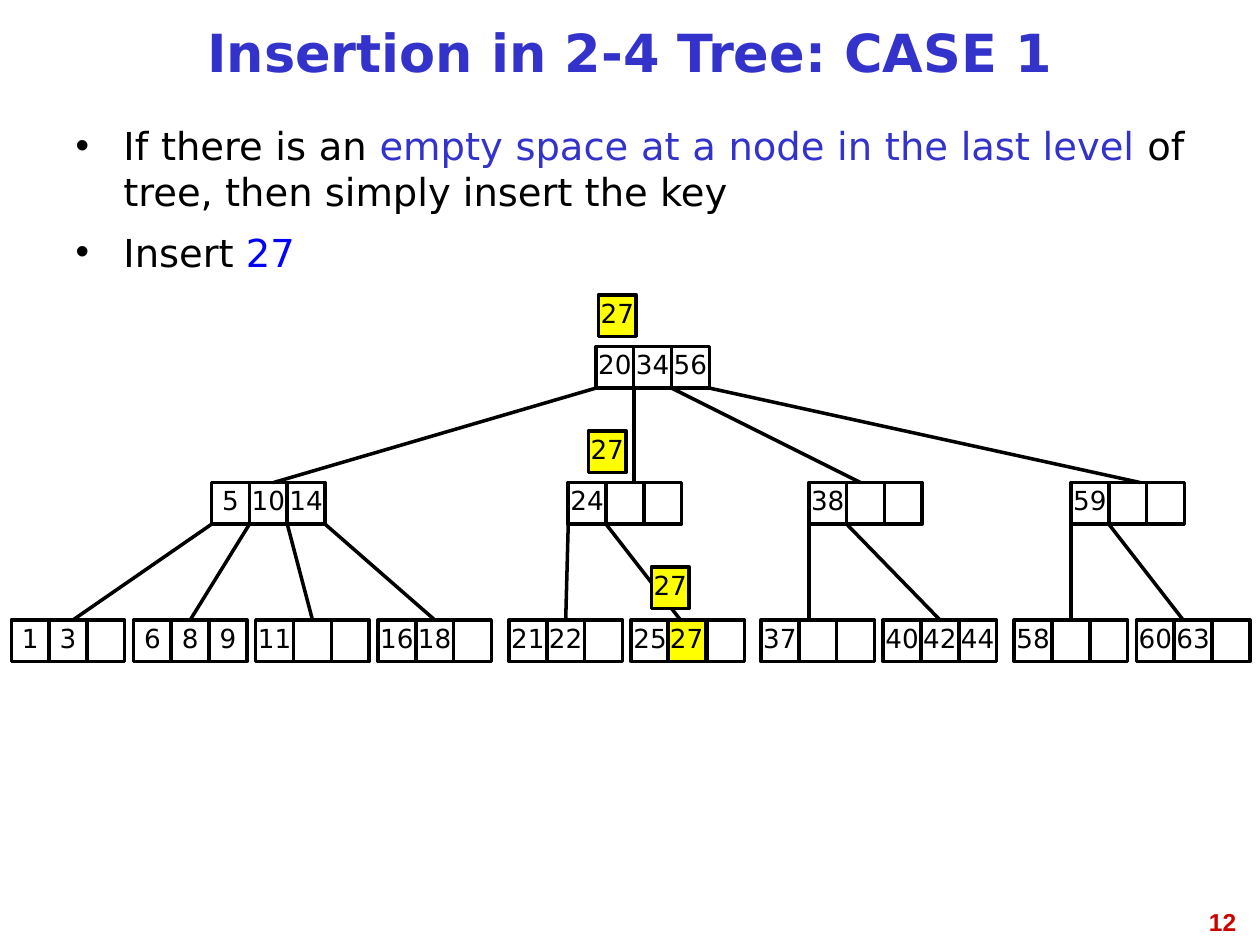
from dataclasses import dataclass

from lxml.etree import SubElement
from pptx import Presentation
from pptx.dml.color import RGBColor as Color
from pptx.enum.shapes import MSO_CONNECTOR as Connector, MSO_SHAPE as Shape
from pptx.enum.text import MSO_ANCHOR as Anchor, MSO_AUTO_SIZE as AutoSize, PP_ALIGN as Align
from pptx.oxml.ns import qn
from pptx.util import Inches, Pt


@dataclass(frozen=True)
class Theme:
    """Colours, type and line sizes of the slide."""
    ink: str = "000000"
    accent: str = "3333CC"
    key: str = "0000FF"
    marked: str = "FFFF00"
    number: str = "CC0000"
    font: str = "DejaVu Sans"
    number_font: str = "Arial"
    title_size: int = 30
    body_size: int = 22
    cell_size: int = 15
    number_size: int = 14
    line: float = 2
    tight: float = 0.81


THEME = Theme()
WIDTH, HEIGHT = 10, 7.5
CELL_W, CELL_H = 0.3, 0.33
SLOTS = 3
LEAF_STEP = 0.97
ROWS = (2.75, 3.83, 4.92)
JOIN_REACH = 0.035

ROOT_LEFT, ROOT_KEYS = 4.73, ("20", "34", "56")
# Each branch: left, keys, edge end, left of its first leaf, leaves with their edge ends
BRANCHES = (
    (1.68, ("5", "10", "14"), 2.17, 0.09,
     ((("1", "3"), 0.58), (("6", "8", "9"), 1.5), (("11",), 2.45), (("16", "18"), 3.42))),
    (4.51, ("24",), 5.03, 4.04, ((("21", "22"), 4.51), (("25",), 5.4))),
    (6.42, ("38",), 6.83, 6.04, ((("37",), 6.42), (("40", "42", "44"), 7.45))),
    (8.5, ("59",), 9.05, 8.05, ((("58",), 8.5), (("60", "63"), 9.39))),
)
INSERTED_KEY = "27"
INSERTED_STEPS = ((4.75, 2.34), (4.67, 3.42), (5.17, 4.5), (5.3, ROWS[2]))


def style(span, size, color=THEME.ink, font=THEME.font, bold=False):
    """Set the type of one run."""
    span.font.size = Pt(size)
    span.font.name = font
    span.font.bold = bold
    span.font.color.rgb = Color.from_string(color)


def place(box, left, top, width, height):
    """Move and size a box given in inches."""
    box.left, box.top, box.width, box.height = map(Inches, (left, top, width, height))


def add_title(page, text):
    """Fill and format the title placeholder."""
    box = page.shapes.title
    place(box, WIDTH * 0.05, 0.08, WIDTH * 0.9, HEIGHT * 0.1)
    frame = box.text_frame
    frame.text = text
    frame.auto_size = AutoSize.NONE
    frame.vertical_anchor = Anchor.MIDDLE
    para = frame.paragraphs[0]
    para.alignment = Align.CENTER
    para.line_spacing = THEME.tight
    style(para.runs[0], THEME.title_size, THEME.accent, bold=True)


def add_bullet(para):
    """Give a paragraph a black round bullet with a hanging indent."""
    props = para._p.get_or_add_pPr()
    props.set("marL", str(Inches(0.38)))
    props.set("indent", str(-Inches(0.38)))
    tint = SubElement(props, qn("a:buClr"))
    SubElement(tint, qn("a:srgbClr")).set("val", THEME.ink)
    SubElement(props, qn("a:buChar")).set("char", "•")


def add_bullets(page, items):
    """Fill the body placeholder with bullets made of coloured pieces."""
    box = page.placeholders[1]
    place(box, WIDTH * 0.05, 0.92, WIDTH * 0.9, 1.42)
    frame = box.text_frame
    frame.auto_size = AutoSize.NONE
    for index, pieces in enumerate(items):
        para = frame.add_paragraph() if index else frame.paragraphs[0]
        add_bullet(para)
        para.alignment = Align.JUSTIFY
        para.space_before = Pt(8 if index else 0)
        for text, color in pieces:
            span = para.add_run()
            span.text = text
            style(span, THEME.body_size, color)


def add_cell(shapes, left, top, key="", fill=None):
    """Draw one key slot and return it."""
    box = shapes.add_shape(Shape.RECTANGLE, *map(Inches, (left, top, CELL_W, CELL_H)))
    box.shadow.inherit = False
    box.line.color.rgb = Color.from_string(THEME.ink)
    box.line.width = Pt(THEME.line)
    if fill:
        box.fill.solid()
        box.fill.fore_color.rgb = Color.from_string(fill)
    else:
        box.fill.background()
    if key:
        frame = box.text_frame
        frame.text = key
        frame.word_wrap = False
        frame.vertical_anchor = Anchor.MIDDLE
        para = frame.paragraphs[0]
        para.alignment = Align.CENTER
        para.line_spacing = THEME.tight
        style(para.runs[0], THEME.cell_size)
    return box


def add_node(page, left, top, keys):
    """Draw a node as a group of slots and return the slots."""
    group = page.shapes.add_group_shape()
    padded = tuple(keys) + ("",) * (SLOTS - len(keys))
    return [add_cell(group.shapes, left + slot * CELL_W, top, key)
            for slot, key in enumerate(padded)]


def add_edge(page, parent_left, parent_row, child_index, end, cells):
    """Link a slot border of the parent to the top of a child node."""
    start = parent_left + child_index * CELL_W
    line = page.shapes.add_connector(Connector.STRAIGHT, *map(Inches, (
        start, ROWS[parent_row] + CELL_H, end, ROWS[parent_row + 1])))
    line.line.color.rgb = Color.from_string(THEME.ink)
    line.line.width = Pt(THEME.line)
    SubElement(line._element.spPr, qn("a:effectLst"))
    for cell in cells:
        if abs(cell.left + cell.width / 2 - Inches(end)) < Inches(JOIN_REACH):
            line.end_connect(cell, 0)


def add_tree(page):
    """Draw all nodes, then the edges between them."""
    add_node(page, ROOT_LEFT, ROWS[0], ROOT_KEYS)
    edges = []
    for index, (left, keys, end, first_leaf, leaves) in enumerate(BRANCHES):
        cells = add_node(page, left, ROWS[1], keys)
        edges.append((ROOT_LEFT, 0, index, end, cells))
        for order, (leaf_keys, leaf_end) in enumerate(leaves):
            cells = add_node(page, first_leaf + order * LEAF_STEP, ROWS[2], leaf_keys)
            edges.append((left, 1, order, leaf_end, cells))
    for edge in edges:
        add_edge(page, *edge)


def add_page_number(page, text):
    """Write the page number at the lower right."""
    box = page.shapes.add_textbox(*map(Inches, (7.58, 7.15, 2.33, 0.52)))
    box.text_frame.word_wrap = True
    box.text_frame.text = text
    para = box.text_frame.paragraphs[0]
    para.alignment = Align.RIGHT
    style(para.runs[0], THEME.number_size, THEME.number, THEME.number_font, bold=True)


def main():
    """Build the slide and save it."""
    deck = Presentation()
    deck.slide_width, deck.slide_height = Inches(WIDTH), Inches(HEIGHT)
    page = deck.slides.add_slide(deck.slide_layouts[1])
    add_page_number(page, "12")
    add_title(page, "Insertion in 2-4 Tree: CASE 1")
    add_bullets(page, (
        (("If there is an ", THEME.ink),
         ("empty space at a node in the last level ", THEME.accent),
         ("of tree, then simply insert the key", THEME.ink)),
        (("Insert ", THEME.ink), (INSERTED_KEY, THEME.key)),
    ))
    add_tree(page)
    for left, top in INSERTED_STEPS:
        add_cell(page.shapes, left, top, INSERTED_KEY, THEME.marked)
    deck.save("out.pptx")


if __name__ == "__main__":
    main()
